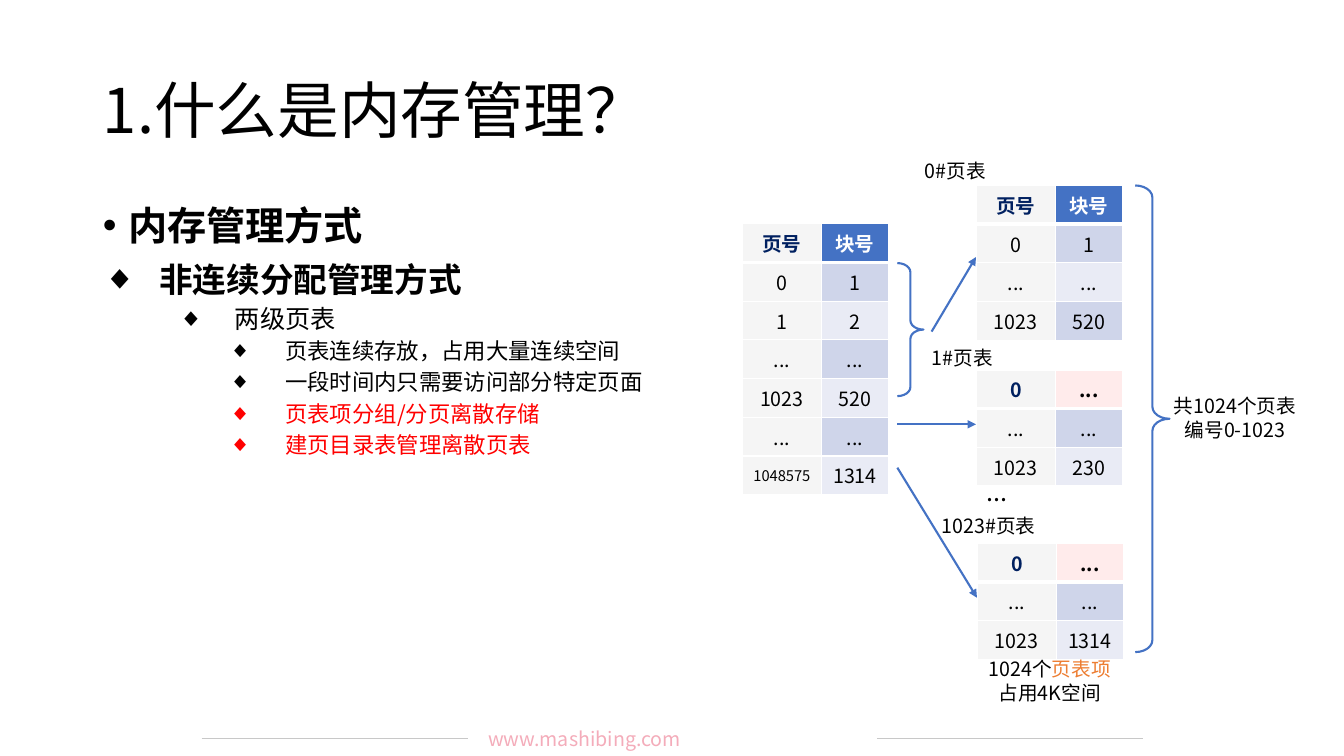
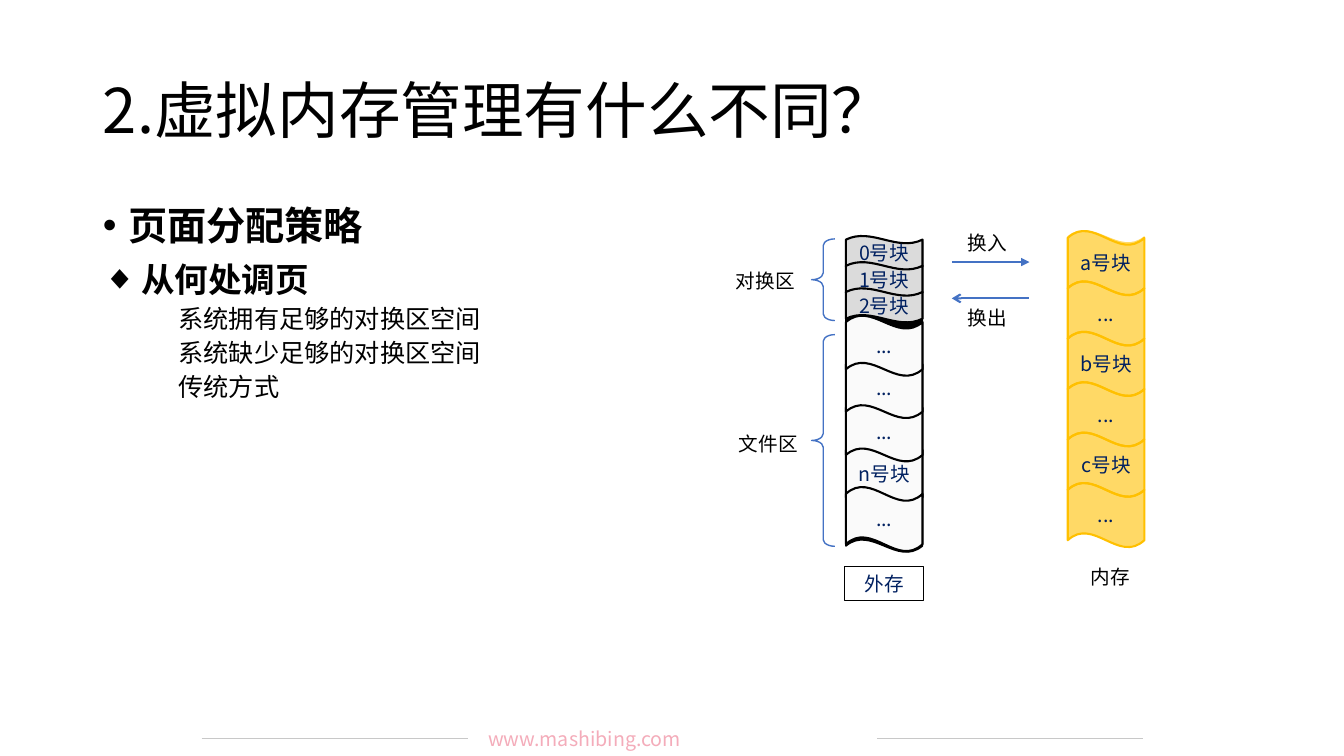
from dataclasses import dataclass
from typing import Optional

from lxml.etree import SubElement
from pptx import Presentation
from pptx.dml.color import RGBColor
from pptx.enum.shapes import MSO_CONNECTOR, MSO_SHAPE
from pptx.enum.text import MSO_ANCHOR, MSO_AUTO_SIZE, PP_ALIGN
from pptx.oxml.ns import qn
from pptx.util import Inches, Pt

FONT = "Noto Sans CJK SC"
COLORS = {
    "black": "000000", "white": "FFFFFF", "red": "FF0000", "orange": "ED7D31",
    "blue": "4472C4", "navy": "002060", "pink": "F4ACBA", "rule": "C8C8C8",
    "page_cell": "F5F5F5", "odd_row": "CFD5EA", "even_row": "E9EBF5", "rose": "FFEBEB",
    "swap": "DBDBDB", "file": "FAFAFA", "memory": "FFD966", "gold": "FFC000",
}


@dataclass
class Span:
    text: str
    size: float = 14
    color: str = "black"
    bold: bool = False


@dataclass
class Item:
    span: Span
    level: int
    margin: float
    hanging: float
    bullet: str = ""


@dataclass
class Label:
    left: float
    top: float
    width: float
    height: float
    lines: list[list[Span]]


@dataclass
class PageTable:
    left: float
    top: float
    rows: list[tuple[str, str]]
    directory: bool = False


@dataclass
class Line:
    start: tuple[float, float]
    end: tuple[float, float]
    color: str = "blue"
    width: float = 1.5
    head: str = ""
    tail: str = ""


@dataclass
class Figure:
    kind: MSO_SHAPE
    left: float
    top: float
    width: float
    height: float
    adjustments: tuple[float, ...] = ()
    fill: Optional[str] = None
    line: Optional[str] = None
    line_width: float = 1.5
    text: str = ""


def rgb(name: str) -> RGBColor:
    return RGBColor.from_string(COLORS[name])


def add_span(para, span: Span) -> None:
    run = para.add_run()
    run.text = span.text
    run.font.name = FONT
    run.font.size = Pt(span.size)
    run.font.bold = span.bold
    run.font.color.rgb = rgb(span.color)
    SubElement(run.font._element, qn("a:ea")).set("typeface", FONT)


def place(box, left: float, top: float, width: float, height: float) -> None:
    box.left, box.top = Inches(left), Inches(top)
    box.width, box.height = Inches(width), Inches(height)


def add_label(page, label: Label, align=PP_ALIGN.CENTER):
    box = page.shapes.add_textbox(
        Inches(label.left), Inches(label.top), Inches(label.width), Inches(label.height))
    frame = box.text_frame
    frame.word_wrap = True
    frame.margin_left = frame.margin_right = 0
    for index, spans in enumerate(label.lines):
        para = frame.add_paragraph() if index else frame.paragraphs[0]
        para.alignment = align
        for span in spans:
            add_span(para, span)
    return box


def add_line(page, line: Line):
    connector = page.shapes.add_connector(
        MSO_CONNECTOR.STRAIGHT, *(Inches(value) for value in line.start + line.end))
    connector.line.color.rgb = rgb(line.color)
    connector.line.width = Pt(line.width)
    stroke = connector.line._get_or_add_ln()
    for tag, arrow in (("a:headEnd", line.head), ("a:tailEnd", line.tail)):
        if arrow:
            SubElement(stroke, qn(tag)).set("type", arrow)
    SubElement(connector.element.spPr, qn("a:effectLst"))
    return connector


def add_figure(page, figure: Figure) -> None:
    shape = page.shapes.add_shape(
        figure.kind, Inches(figure.left), Inches(figure.top),
        Inches(figure.width), Inches(figure.height))
    shape.shadow.inherit = False
    for index, value in enumerate(figure.adjustments):
        shape.adjustments[index] = value
    if figure.fill:
        shape.fill.solid()
        shape.fill.fore_color.rgb = rgb(figure.fill)
    else:
        shape.fill.background()
    if figure.line:
        shape.line.color.rgb = rgb(figure.line)
        shape.line.width = Pt(figure.line_width)
    else:
        shape.line.fill.background()
    if figure.text:
        frame = shape.text_frame
        frame.word_wrap = True
        frame.margin_left = frame.margin_right = 0
        frame.vertical_anchor = MSO_ANCHOR.MIDDLE
        frame.paragraphs[0].alignment = PP_ALIGN.CENTER
        add_span(frame.paragraphs[0], Span(figure.text, color="navy"))


def format_cell(cell, fill: str, span: Span, row: int) -> None:
    cell.vertical_anchor = MSO_ANCHOR.MIDDLE
    para = cell.text_frame.paragraphs[0]
    para.alignment = PP_ALIGN.CENTER
    add_span(para, span)
    properties = cell._tc.get_or_add_tcPr()
    widths = {"a:lnL": 1, "a:lnR": 1, "a:lnT": 3 if row == 1 else 1, "a:lnB": 1 if row else 3}
    for tag, width in widths.items():
        border = SubElement(properties, qn(tag), w=str(Pt(width)))
        paint = SubElement(border, qn("a:solidFill"))
        SubElement(paint, qn("a:srgbClr"), val=COLORS["white"])
    cell.fill.solid()
    cell.fill.fore_color.rgb = rgb(fill)


def add_page_table(page, spec: PageTable) -> None:
    count = len(spec.rows)
    table = page.shapes.add_table(
        count, 2, Inches(spec.left), Inches(spec.top),
        Inches(1.45), Inches(0.36 * count)).table
    table.first_row = table.horz_banding = False
    for column, width in zip(table.columns, (0.79, 0.66)):
        column.width = Inches(width)
    header_fill, header_color = ("rose", "black") if spec.directory else ("blue", "white")
    for row, (number, block) in enumerate(spec.rows):
        table.rows[row].height = Inches(0.36)
        header = row == 0
        size = 10.5 if len(number) > 4 else 14
        band = "odd_row" if row % 2 else "even_row"
        format_cell(table.cell(row, 0), "page_cell",
                    Span(number, size, "navy" if header else "black", header), row)
        format_cell(table.cell(row, 1), header_fill if header else band,
                    Span(block, 14, header_color if header else "black", header), row)


def add_item(para, item: Item, first: bool) -> None:
    para.level = item.level
    para.alignment = PP_ALIGN.LEFT
    para.line_spacing = 0.9
    para.space_before = Pt(0 if first else 5 if item.level else 10)
    properties = para._p.get_or_add_pPr()
    properties.set("marL", str(Inches(item.margin)))
    properties.set("indent", str(-Inches(item.hanging)))
    if item.bullet:
        SubElement(properties, qn("a:buFont"), typeface="Arial")
        SubElement(properties, qn("a:buChar"), char=item.bullet)
    else:
        SubElement(properties, qn("a:buNone"))
    add_span(para, item.span)


def add_page(deck, layout, title: str, items: list[Item]):
    page = deck.slides.add_slide(layout)
    heading, body = page.placeholders[0], page.placeholders[1]
    place(heading, 0.92, 0.4, 11.5, 1.45)
    place(body, 0.92, 2, 11.5, 5.1)
    for holder, anchor in ((heading, MSO_ANCHOR.MIDDLE), (body, MSO_ANCHOR.TOP)):
        holder.text_frame.auto_size = MSO_AUTO_SIZE.NONE
        holder.text_frame.vertical_anchor = anchor
    para = heading.text_frame.paragraphs[0]
    para.alignment = PP_ALIGN.LEFT
    para.line_spacing = 0.9
    add_span(para, Span(title, 44))
    for index, item in enumerate(items):
        para = body.text_frame.add_paragraph() if index else body.text_frame.paragraphs[0]
        add_item(para, item, index == 0)
    return page


def add_footer(page, layout) -> None:
    parts = [add_line(page, Line((left, 7.33), (left + 2.64, 7.33), "rule", 0.5))
             for left in (2, 8.7)]
    address = Label(4.84, 7.16, 3.65, 0.34, [[Span("www.mashibing.com", color="pink")]])
    parts.append(add_label(page, address, PP_ALIGN.JUSTIFY))
    for part in parts:
        layout.shapes.element.append(part.element)


def build_paging(deck, layout):
    details = [("页表连续存放，占用大量连续空间", "black"), ("一段时间内只需要访问部分特定页面", "black"),
               ("页表项分组/分页离散存储", "red"), ("建页目录表管理离散页表", "red")]
    page = add_page(deck, layout, "1.什么是内存管理？", [
        Item(Span("内存管理方式", 28, bold=True), 0, 0.25, 0.25, "•"),
        Item(Span("非连续分配管理方式", 24, bold=True), 0, 0.56, 0.56, "◆"),
        Item(Span("两级页表", 18), 1, 1.31, 0.56, "◆"),
        *(Item(Span(text, 16, color), 2, 1.81, 0.56, "◆") for text, color in details),
    ])
    names, gap = ("页号", "块号"), ("...", "...")
    for spec in (
        PageTable(7.36, 2.22, [names, ("0", "1"), ("1", "2"), gap, ("1023", "520"), gap,
                               ("1048575", "1314")]),
        PageTable(9.68, 1.84, [names, ("0", "1"), gap, ("1023", "520")]),
        PageTable(9.68, 3.67, [("0", "..."), gap, ("1023", "230")], True),
        PageTable(9.69, 5.39, [("0", "..."), gap, ("1023", "1314")], True),
    ):
        add_page_table(page, spec)
    for start, end in (((9.24, 3.29), (9.68, 2.55)), ((8.9, 4.21), (9.68, 4.21)),
                       ((8.9, 4.64), (9.69, 5.93))):
        add_line(page, Line(start, end, tail="triangle"))
    for bounds in ((8.9, 2.61, 0.26, 1.32), (11.26, 1.84, 0.34, 4.63)):
        add_figure(page, Figure(MSO_SHAPE.RIGHT_BRACE, *bounds, (0.35, 0.5), line="blue"))
    add_label(page, Label(9.78, 4.68, 1.05, 0.4, [[Span("...", 18)]]), PP_ALIGN.LEFT)
    for label in (
        Label(11.46, 3.86, 1.58, 0.57, [[Span("共1024个页表")], [Span("编号0-1023")]]),
        Label(9.62, 6.47, 1.58, 0.57, [[Span("1024个"), Span("页表项", color="orange")],
                                       [Span("占用4K空间")]]),
        Label(8.99, 1.53, 0.97, 0.34, [[Span("0#页表")]]),
        Label(9.06, 3.38, 0.97, 0.34, [[Span("1#页表")]]),
        Label(9.15, 5.05, 1.31, 0.34, [[Span("1023#页表")]]),
    ):
        add_label(page, label)
    return page


def add_wave(page, left: float, top: float, height: float, text: str,
             fill: Optional[str], line: str) -> None:
    add_figure(page, Figure(MSO_SHAPE.WAVE, left, top, 0.76, height, (0.11, 0),
                            fill, line, text=text))


def build_swapping(deck, layout) -> None:
    sources = ("系统拥有足够的对换区空间", "系统缺少足够的对换区空间", "传统方式")
    page = add_page(deck, layout, "2.虚拟内存管理有什么不同？", [
        Item(Span("页面分配策略", 28, bold=True), 0, 0.25, 0.25, "•"),
        Item(Span("从何处调页", 24, bold=True), 0, 0.38, 0.38, "◆"),
        *(Item(Span(text, 18), 1, 0.75, 0) for text in sources),
    ])
    disk, memory = 8.39, 10.59
    for left, top, fill, line in ((disk, 2.34, "black", "black"), (memory, 2.28, "memory", None)):
        add_figure(page, Figure(MSO_SHAPE.WAVE, left, top, 0.76, 3.14, (0.02, 0), fill, line, 1))
    for index in range(3):
        add_wave(page, disk, 2.34 + 0.26 * index, 0.34, f"{index}号块", "swap", "black")
    for index in (3, 4, 2, 1, 0):
        add_wave(page, disk, 3.13 + 0.42 * index + 0.01 * (index // 2), 0.64 if index == 4 else 0.6,
                 "n号块" if index == 3 else "...", "file", "black")
    for index, text in enumerate(("a号块", "...", "b号块", "...", "c号块", "...")):
        add_wave(page, memory, 2.29 + 0.5 * index, 0.64, text, None, "gold")
    add_figure(page, Figure(MSO_SHAPE.RECTANGLE, 8.38, 5.62, 0.78, 0.34,
                            line="black", line_width=0.75, text="外存"))
    for top, height in ((2.37, 0.81), (3.32, 2.1)):
        add_figure(page, Figure(MSO_SHAPE.LEFT_BRACE, 8.05, top, 0.23, height, (0.29, 0.5),
                                line="blue", line_width=1))
    add_line(page, Line((9.44, 2.6), (10.21, 2.6), tail="triangle"))
    add_line(page, Line((9.44, 2.96), (10.21, 2.96), head="arrow"))
    for left, top, text in ((10.62, 5.56, "内存"), (7.2, 2.62, "对换区"), (9.4, 2.24, "换入"),
                            (9.4, 2.99, "换出"), (7.23, 4.24, "文件区")):
        add_label(page, Label(left, top, 0.78, 0.34, [[Span(text)]]))


def main() -> None:
    deck = Presentation()
    deck.slide_width, deck.slide_height = Inches(13.33), Inches(7.5)
    layout = deck.slide_layouts[1]
    paging = build_paging(deck, layout)
    add_footer(paging, layout)
    build_swapping(deck, layout)
    deck.save("out.pptx")


if __name__ == "__main__":
    main()
